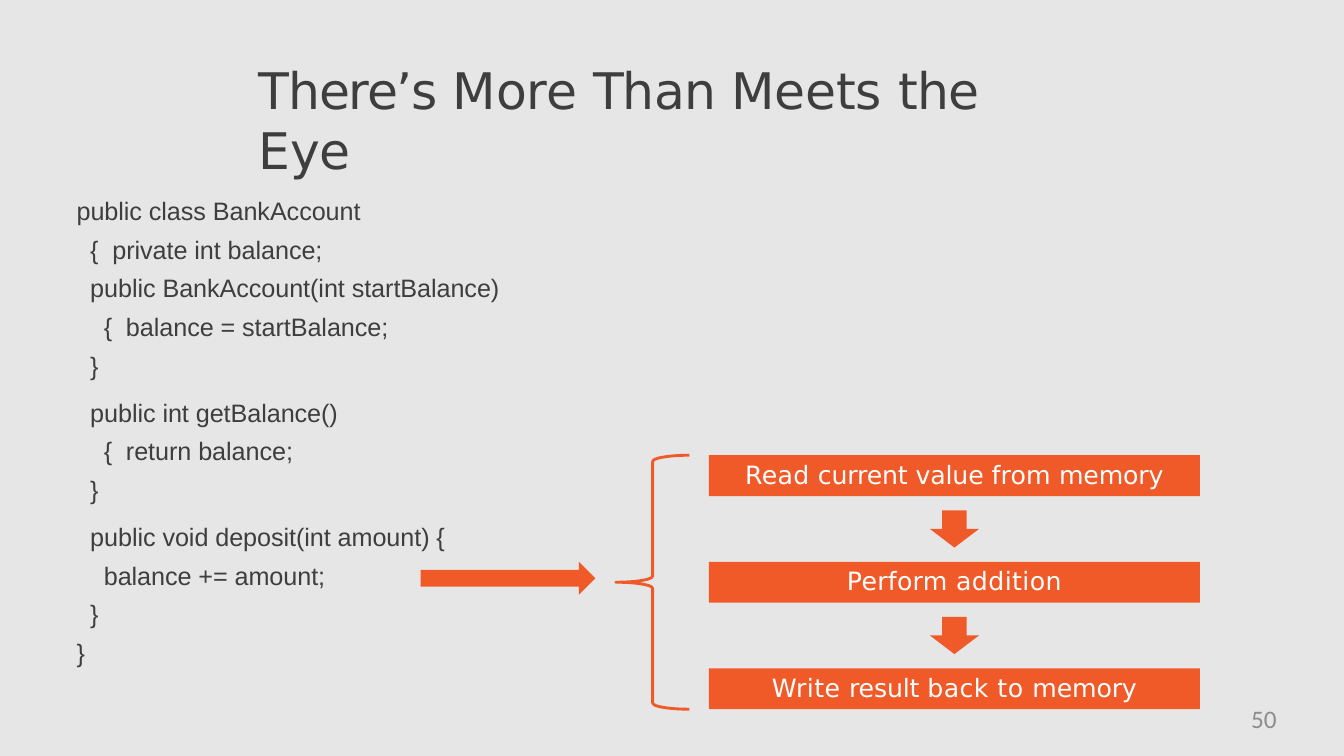
import pptx
import pptx.util
import pptx.dml.color
import pptx.enum.shapes
import pptx.enum.text

Pt = pptx.util.Pt
SHAPE = pptx.enum.shapes.MSO_SHAPE
ALIGN = pptx.enum.text.PP_ALIGN
ANCHOR = pptx.enum.text.MSO_ANCHOR

COLORS = {"ground": "E6E6E6", "ink": "3E3E3E", "accent": "F05A28", "white": "FFFFFF", "number": "8C8C8C"}

TITLE = [("There’s ", -0.9), ("More ", -0.1), ("Than ", -0.6), ("Meets ", -0.1), ("the Eye", -0.3)]
CODE = [
    [
        (0, "public class BankAccount"),
        (1, "{  private int balance;"),
        (1, "public BankAccount(int startBalance)"),
        (2, "{  balance = startBalance;"),
        (1, "}"),
    ],
    [(1, "public int getBalance()"), (2, "{  return balance;"), (1, "}")],
    [(1, "public void deposit(int amount) {"), (2, "balance += amount;"), (1, "}"), (0, "}")],
]
STEPS = [
    [("Read ", 0.2), ("current value ", -0.1), ("from ", 0.1), ("memory", -0.1)],
    [("Perform ", 0.2), ("addition", 0.3)],
    [("Write ", 0.3), ("result ", -0.1), ("back ", 0.3), ("to ", 0.4), ("memory", -0.1)],
]
PAGE_NUMBER = [("50", 0)]

STEP_LEFT, STEP_TOP, STEP_WIDTH, STEP_HEIGHT, STEP_PITCH = 506.4, 325.2, 350.7, 29.2, 76.1
DOWN_WIDTH, DOWN_HEIGHT = 35, 26.6
CODE_INDENT, CODE_LINE, METHOD_GAP = 9.72, 27.65, 5.8


def color(name):
    return pptx.dml.color.RGBColor.from_string(COLORS[name])


def add_spans(para, spans, font, size, ink):
    for text, spacing in spans:
        span = para.add_run()
        span.text = text
        span.font.name = font
        span.font.size = Pt(size)
        span.font.color.rgb = color(ink)
        if spacing:
            span._r.get_or_add_rPr().set("spc", str(round(spacing * 100)))


def clear_frame(box, anchor=ANCHOR.TOP):
    frame = box.text_frame
    frame.word_wrap = True
    frame.vertical_anchor = anchor
    frame.margin_left = frame.margin_top = frame.margin_right = frame.margin_bottom = 0
    return frame


def add_text_box(page, left, top, width, height):
    return clear_frame(page.shapes.add_textbox(Pt(left), Pt(top), Pt(width), Pt(height)))


def add_solid(page, kind, left, top, width, height):
    shape = page.shapes.add_shape(kind, Pt(left), Pt(top), Pt(width), Pt(height))
    shape.shadow.inherit = False
    shape.fill.solid()
    shape.fill.fore_color.rgb = color("accent")
    shape.line.fill.background()
    return shape


def add_code(page):
    frame = add_text_box(page, 54, 133.5, 312, 345)
    for block_index, block in enumerate(CODE):
        for line_index, (level, text) in enumerate(block):
            first = block_index == line_index == 0
            para = frame.paragraphs[0] if first else frame.add_paragraph()
            para.line_spacing = Pt(CODE_LINE)
            para.space_before = Pt(METHOD_GAP if block_index and not line_index else 0)
            para._p.get_or_add_pPr().set("marL", str(Pt(0.72 + level * CODE_INDENT)))
            add_spans(para, [(text, -0.05)], "Arial", 18, "ink")


def add_steps(page):
    for index, spans in enumerate(STEPS):
        top = STEP_TOP + index * STEP_PITCH
        box = add_solid(page, SHAPE.RECTANGLE, STEP_LEFT, top, STEP_WIDTH, STEP_HEIGHT)
        frame = clear_frame(box, ANCHOR.MIDDLE)
        frame.margin_bottom = Pt(2)
        para = frame.paragraphs[0]
        para.alignment = ALIGN.CENTER
        add_spans(para, spans, "DejaVu Sans", 18, "white")
        if index < len(STEPS) - 1:
            gap = STEP_PITCH - STEP_HEIGHT
            add_solid(
                page,
                SHAPE.DOWN_ARROW,
                STEP_LEFT + (STEP_WIDTH - DOWN_WIDTH) / 2,
                top + STEP_HEIGHT + (gap - DOWN_HEIGHT) / 2,
                DOWN_WIDTH,
                DOWN_HEIGHT,
            )


def add_brace(page):
    height = (len(STEPS) - 1) * STEP_PITCH + STEP_HEIGHT
    brace = add_solid(page, SHAPE.LEFT_BRACE, 439.9, STEP_TOP, 52.6, height)
    brace.fill.background()
    brace.line.color.rgb = color("accent")
    brace.line.width = Pt(2.04)


def main():
    """Build the slide on the hidden steps of a bank deposit."""
    deck = pptx.Presentation()
    deck.slide_width, deck.slide_height = Pt(960), Pt(540)
    page = deck.slides.add_slide(deck.slide_layouts[6])
    page.background.fill.solid()
    page.background.fill.fore_color.rgb = color("ground")

    add_code(page)
    title = add_text_box(page, 185, 42, 585, 86)
    add_spans(title.paragraphs[0], TITLE, "DejaVu Sans", 36, "ink")
    add_steps(page)
    add_brace(page)
    add_solid(page, SHAPE.RIGHT_ARROW, 300.5, 401.2, 124.8, 23.8)
    number = add_text_box(page, 691, 502.5, 221, 27)
    number.paragraphs[0].alignment = ALIGN.RIGHT
    add_spans(number.paragraphs[0], PAGE_NUMBER, "Calibri", 18, "number")
    deck.save("out.pptx")


if __name__ == "__main__":
    main()
